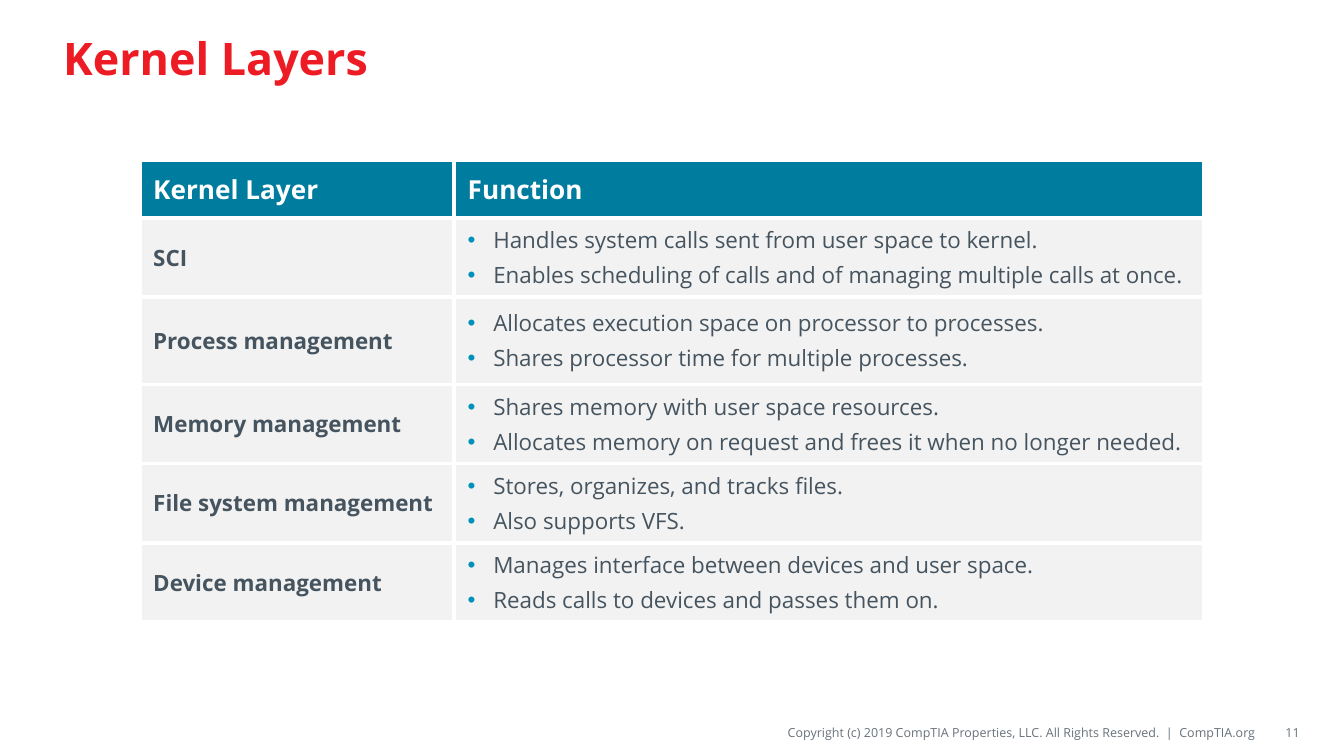
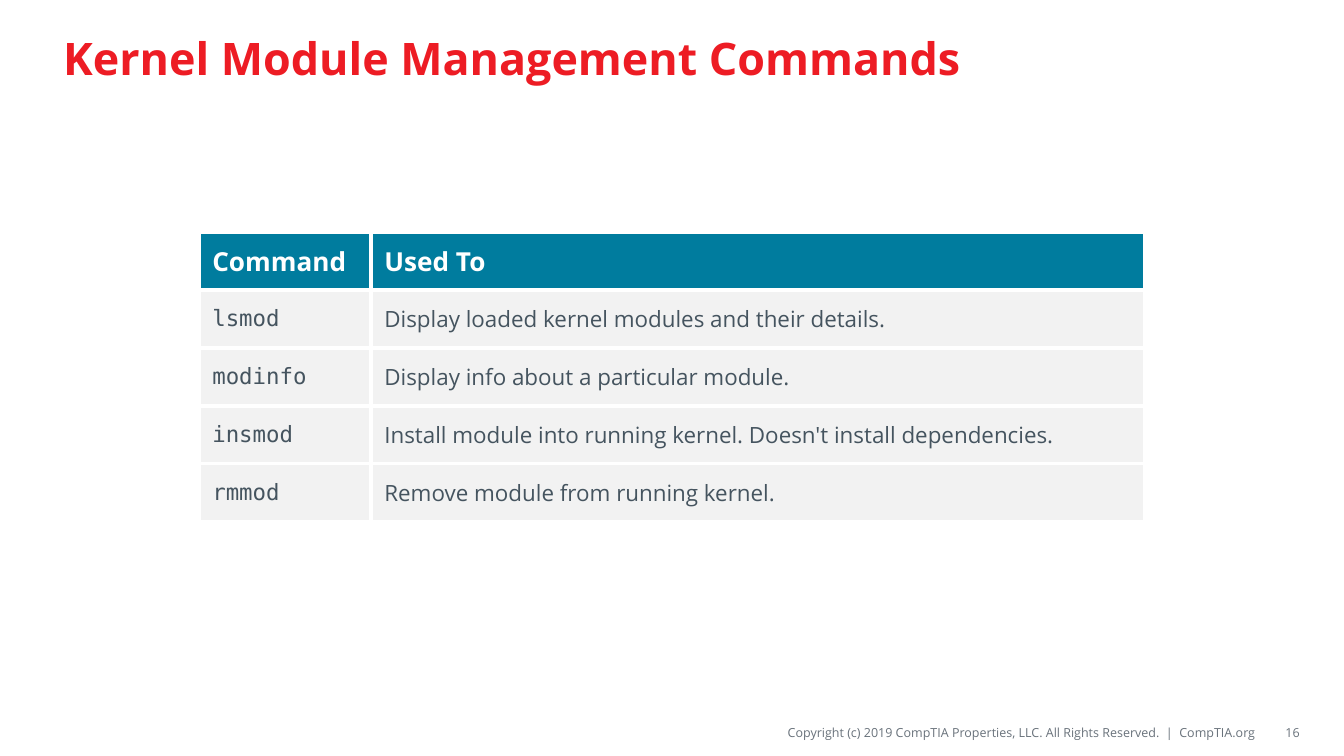
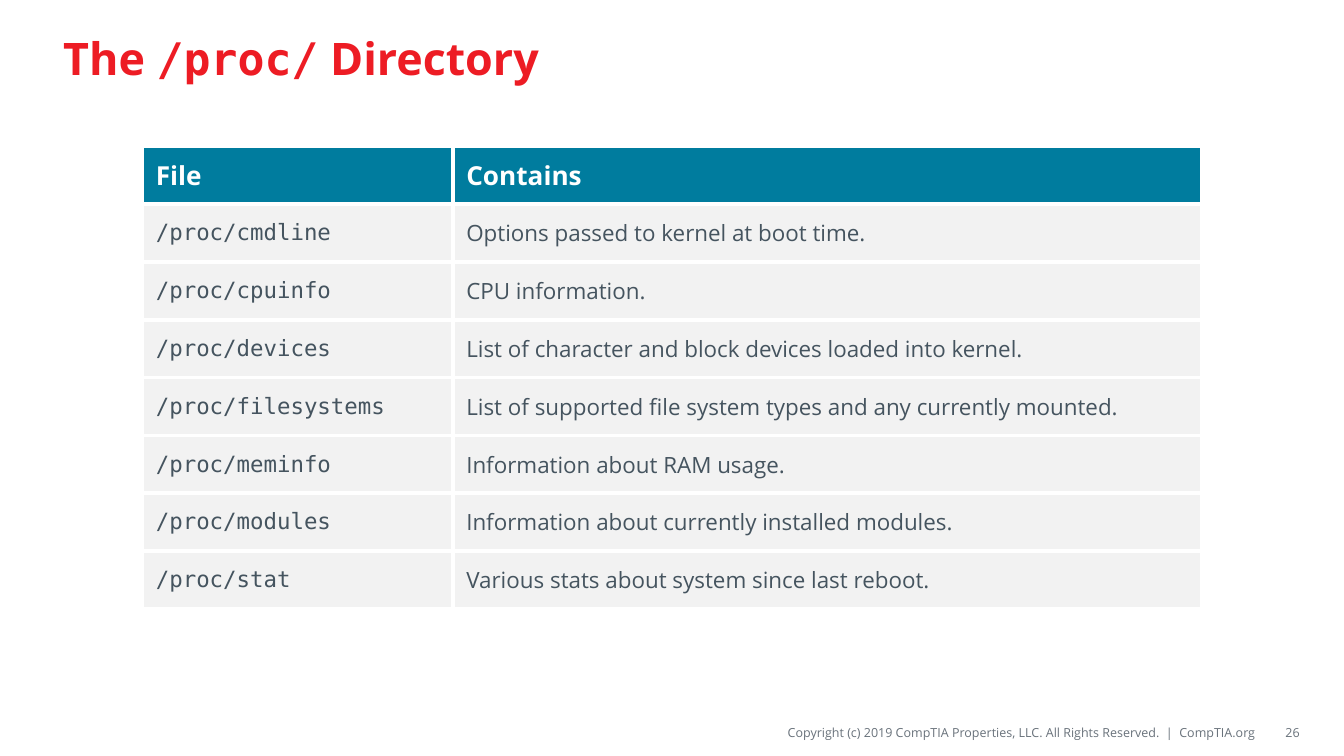
from dataclasses import dataclass

from lxml import etree
from pptx import Presentation
from pptx.dml.color import RGBColor
from pptx.enum import text as enum_text
from pptx.oxml import ns
from pptx.slide import Slide
from pptx.table import _Cell
from pptx.text.text import _Paragraph
from pptx.util import Inches, Pt

RED = RGBColor(0xED, 0x1C, 0x24)
TEAL = RGBColor(0x00, 0x7C, 0x9E)
BULLET_BLUE = RGBColor(0x00, 0x90, 0xB9)
SLATE = RGBColor(0x45, 0x54, 0x5F)
FOOTER_GRAY = RGBColor(0x69, 0x72, 0x7B)
LIGHT_GRAY = RGBColor(0xF2, 0xF2, 0xF2)
WHITE = RGBColor(0xFF, 0xFF, 0xFF)

SANS = "Open Sans"
MONO = "DejaVu Sans Mono"
COPYRIGHT = "Copyright (c) 2019 CompTIA Properties, LLC. All Rights Reserved.  |  CompTIA.org"
ROW_HEIGHT = 0.43
BULLET_INDENT = Inches(0.19)


@dataclass(frozen=True)
class TextStyle:
    size: float
    color: RGBColor
    bold: bool = False
    font: str = SANS


TITLE = TextStyle(24, RED, True)
TITLE_CODE = TextStyle(24, RED, True, MONO)
HEADING = TextStyle(14, WHITE, True)
BODY = TextStyle(12, SLATE)
BODY_BOLD = TextStyle(12, SLATE, True)
BODY_CODE = TextStyle(12, SLATE, font=MONO)
FOOTER = TextStyle(6.75, FOOTER_GRAY)


@dataclass(frozen=True)
class TableSlide:
    """A titled table; a tuple of texts in the second column is a bullet list."""
    number: int
    title: list[tuple[str, TextStyle]]
    left: float
    top: float
    column_widths: tuple[float, float]
    headings: tuple[str, str]
    rows: list[tuple[str, str | tuple[str, ...]]]
    key_style: TextStyle = BODY_CODE
    row_heights: tuple[float, ...] = ()


TABLE_SLIDES = [
    TableSlide(
        11, [("Kernel Layers", TITLE)], 1.04, 1.19, (2.34, 5.58),
        ("Kernel Layer", "Function"),
        [
            ("SCI", (
                "Handles system calls sent from user space to kernel.",
                "Enables scheduling of calls and of managing multiple calls at once.")),
            ("Process management", (
                "Allocates execution space on processor to processes.",
                "Shares processor time for multiple processes.")),
            ("Memory management", (
                "Shares memory with user space resources.",
                "Allocates memory on request and frees it when no longer needed.")),
            ("File system management", (
                "Stores, organizes, and tracks files.",
                "Also supports VFS.")),
            ("Device management", (
                "Manages interface between devices and user space.",
                "Reads calls to devices and passes them on.")),
        ],
        BODY_BOLD, (0.59, 0.65, 0.59, 0.59, 0.59),
    ),
    TableSlide(
        16, [("Kernel Module Management Commands", TITLE)], 1.48, 1.73, (1.28, 5.76),
        ("Command", "Used To"),
        [
            ("lsmod", "Display loaded kernel modules and their details."),
            ("modinfo", "Display info about a particular module."),
            ("insmod", "Install module into running kernel. Doesn't install dependencies."),
            ("rmmod", "Remove module from running kernel."),
        ],
    ),
    TableSlide(
        26, [("The ", TITLE), ("/proc/", TITLE_CODE), (" Directory", TITLE)],
        1.06, 1.09, (2.31, 5.57),
        ("File", "Contains"),
        [
            ("/proc/cmdline", "Options passed to kernel at boot time."),
            ("/proc/cpuinfo", "CPU information."),
            ("/proc/devices", "List of character and block devices loaded into kernel."),
            ("/proc/filesystems", "List of supported file system types and any currently mounted."),
            ("/proc/meminfo", "Information about RAM usage."),
            ("/proc/modules", "Information about currently installed modules."),
            ("/proc/stat", "Various stats about system since last reboot."),
        ],
    ),
]


def add_run(paragraph: _Paragraph, content: str, style: TextStyle) -> None:
    run = paragraph.add_run()
    run.text = content
    run.font.name = style.font
    run.font.size = Pt(style.size)
    run.font.bold = style.bold
    run.font.color.rgb = style.color


def add_bullet(paragraph: _Paragraph) -> None:
    properties = paragraph._p.get_or_add_pPr()
    properties.set("marL", str(BULLET_INDENT))
    properties.set("indent", str(-BULLET_INDENT))
    color = etree.SubElement(properties, ns.qn("a:buClr"))
    etree.SubElement(color, ns.qn("a:srgbClr"), val=str(BULLET_BLUE))
    etree.SubElement(properties, ns.qn("a:buFont"), typeface="Arial")
    etree.SubElement(properties, ns.qn("a:buChar"), char="•")


def add_borders(cell: _Cell) -> None:
    properties = cell._tc.get_or_add_tcPr()
    for side in ("lnL", "lnR", "lnT", "lnB"):
        line = etree.SubElement(properties, ns.qn(f"a:{side}"), w=str(Pt(2.25)))
        fill = etree.SubElement(line, ns.qn("a:solidFill"))
        etree.SubElement(fill, ns.qn("a:srgbClr"), val=str(WHITE))


def fill_cell(cell: _Cell, content: str | tuple[str, ...], style: TextStyle,
              background: RGBColor) -> None:
    add_borders(cell)
    cell.fill.solid()
    cell.fill.fore_color.rgb = background
    cell.vertical_anchor = enum_text.MSO_ANCHOR.MIDDLE
    bulleted = isinstance(content, tuple)
    for index, line in enumerate(content if bulleted else (content,)):
        paragraph = cell.text_frame.add_paragraph() if index else cell.text_frame.paragraphs[0]
        if bulleted:
            add_bullet(paragraph)
        if index:
            paragraph.space_before = Pt(0.2 * style.size)
        add_run(paragraph, line, style)


def add_title(slide: Slide, runs: list[tuple[str, TextStyle]]) -> None:
    title = slide.shapes.title
    title.left, title.top = Inches(0.37), Inches(0.08)
    title.width, title.height = Inches(9.25), Inches(0.69)
    frame = title.text_frame
    frame.auto_size = enum_text.MSO_AUTO_SIZE.NONE
    frame.vertical_anchor = enum_text.MSO_ANCHOR.MIDDLE
    paragraph = frame.paragraphs[0]
    paragraph.alignment = enum_text.PP_ALIGN.LEFT
    for content, style in runs:
        add_run(paragraph, content, style)


def add_footer_text(slide: Slide, content: str, left: float, width: float) -> None:
    box = slide.shapes.add_textbox(Inches(left), Inches(5.34), Inches(width), Inches(0.22))
    frame = box.text_frame
    frame.word_wrap = True
    frame.vertical_anchor = enum_text.MSO_ANCHOR.MIDDLE
    frame.margin_left = frame.margin_right = 0
    frame.margin_top = frame.margin_bottom = Inches(0.04)
    paragraph = frame.paragraphs[0]
    paragraph.alignment = enum_text.PP_ALIGN.RIGHT
    add_run(paragraph, content, FOOTER)


def add_content_table(slide: Slide, content: TableSlide) -> None:
    heights = (ROW_HEIGHT, *(content.row_heights or [ROW_HEIGHT] * len(content.rows)))
    table = slide.shapes.add_table(
        len(heights), 2, Inches(content.left), Inches(content.top),
        Inches(sum(content.column_widths)), Inches(sum(heights))).table
    for column, width in zip(table.columns, content.column_widths):
        column.width = Inches(width)
    for row, height in zip(table.rows, heights):
        row.height = Inches(height)
    for column, heading in enumerate(content.headings):
        fill_cell(table.cell(0, column), heading, HEADING, TEAL)
    for row, (key, description) in enumerate(content.rows, start=1):
        fill_cell(table.cell(row, 0), key, content.key_style, LIGHT_GRAY)
        fill_cell(table.cell(row, 1), description, BODY, LIGHT_GRAY)


def main() -> None:
    presentation = Presentation()
    presentation.slide_width = Inches(10)
    presentation.slide_height = Inches(10) * 9 // 16
    title_only = presentation.slide_layouts[5]
    for content in TABLE_SLIDES:
        slide = presentation.slides.add_slide(title_only)
        add_title(slide, content.title)
        add_footer_text(slide, COPYRIGHT, 3.88, 5.47)
        add_footer_text(slide, str(content.number), 9.38, 0.29)
        add_content_table(slide, content)
    presentation.save("out.pptx")


if __name__ == "__main__":
    main()
